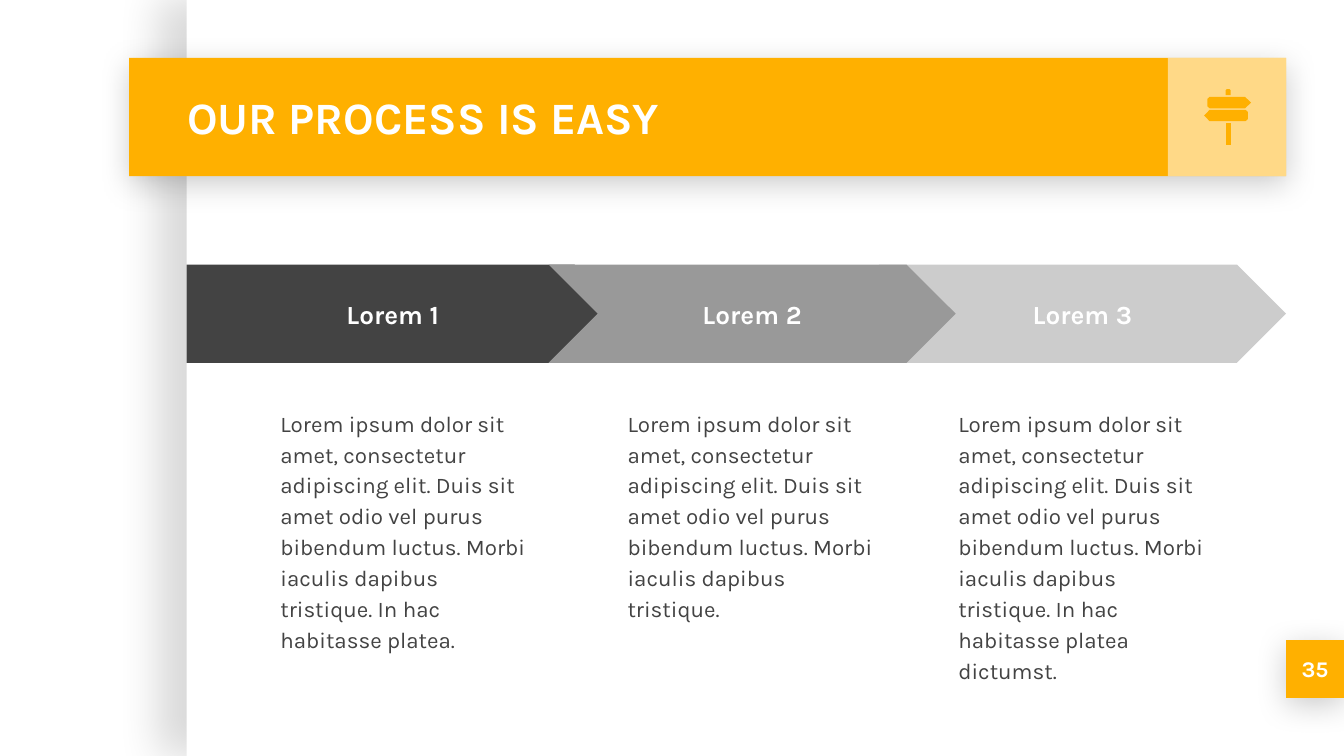
from dataclasses import dataclass

from lxml import etree
from pptx import Presentation
from pptx.dml.color import RGBColor
from pptx.enum import shapes, text
from pptx.oxml import ns
from pptx.util import Pt


@dataclass(frozen=True)
class Theme:
    font: str = "Karla"
    white: str = "FFFFFF"
    gold: str = "FFB000"
    dark: str = "434343"
    mid: str = "999999"
    light: str = "CCCCCC"
    title: int = 24
    label: int = 14
    body: int = 12


THEME = Theme()
KIND = shapes.MSO_SHAPE
PAGE = 100, 0, 620, 405
BANNER = 69.2, 31, 619.8, 63.4
BADGE = 625.6, 31, 63.4, 63.4
NUMBER = 689, 342.9, 31, 31
ROW, HIGH = 141.7, 52.7
LOREM = ("Lorem ipsum dolor sit amet, consectetur adipiscing elit. Duis sit amet "
         "odio vel purus bibendum luctus. Morbi iaculis dapibus tristique.")

# label, kind, left, width, fill, text left, body; listed from back to front
STEPS = [
    ("Lorem 3", KIND.CHEVRON, 470.9, 218.1, THEME.light, 506.3,
     LOREM + " In hac habitasse platea dictumst."),
    ("Lorem 1", KIND.PENTAGON, 100, 234, THEME.dark, 143.1,
     LOREM + " In hac habitasse platea."),
    ("Lorem 2", KIND.CHEVRON, 293.9, 218.1, THEME.mid, 329.1, LOREM),
]

# signpost outlines: right arm, left arm, cap, pole
SIGN = [
    [(648, 51.9), (667, 51.9), (670.2, 55), (667, 58), (648, 58),
     (646.8, 56.9), (646.8, 53)],
    [(648, 58.9), (667.3, 58.9), (668.5, 60), (668.5, 63.8), (667.3, 64.9),
     (648, 64.9), (645.1, 61.9)],
    [(657.2, 47.7), (658.7, 47.7), (659.3, 48.3), (659.3, 50.9),
     (656.6, 50.9), (656.6, 48.3)],
    [(656.6, 66.1), (659.3, 66.1), (659.3, 77.7), (656.6, 77.7)],
]


def paint(shape, color):
    shape.shadow.inherit = False
    shape.fill.solid()
    shape.fill.fore_color.rgb = RGBColor.from_string(color)
    shape.line.fill.background()


def block(slide, kind, area, color):
    shape = slide.shapes.add_shape(kind, *map(Pt, area))
    paint(shape, color)
    return shape


def fade(shape, alpha):
    """Set the opacity of a solid fill, in percent."""
    color = shape._element.spPr.find(".//" + ns.qn("a:srgbClr"))
    etree.SubElement(color, ns.qn("a:alpha"), val=str(alpha * 1000))


def shade(shape, alpha, blur, dist, angle):
    """Give the shape a soft black outer shadow."""
    effects = shape._element.spPr.find(ns.qn("a:effectLst"))
    outer = etree.SubElement(
        effects, ns.qn("a:outerShdw"), blurRad=str(Pt(blur)),
        dist=str(Pt(dist)), dir=str(angle * 60000), algn="bl", rotWithShape="0")
    color = etree.SubElement(outer, ns.qn("a:srgbClr"), val="000000")
    etree.SubElement(color, ns.qn("a:alpha"), val=str(alpha * 1000))


def write(shape, words, size, color, bold=True, align=text.PP_ALIGN.CENTER,
          anchor=text.MSO_ANCHOR.MIDDLE):
    frame = shape.text_frame
    frame.text = words
    frame.word_wrap = True
    frame.auto_size = text.MSO_AUTO_SIZE.NONE
    frame.vertical_anchor = anchor
    frame.margin_left = frame.margin_right = Pt(7.2)
    frame.margin_top = frame.margin_bottom = Pt(7.2)
    para = frame.paragraphs[0]
    para.alignment = align
    font = para.font
    font.name, font.size, font.bold = THEME.font, Pt(size), bold
    font.color.rgb = RGBColor.from_string(color)
    return para


def add_frame(slide):
    """Draw the page panel, the title banner and the number tab."""
    page = block(slide, KIND.RECTANGLE, PAGE, THEME.white)
    shade(page, 15, 22.5, 15, 180)
    tab = block(slide, KIND.RECTANGLE, NUMBER, THEME.gold)
    banner = block(slide, KIND.RECTANGLE, BANNER, THEME.gold)
    for shape in (tab, banner):
        shade(shape, 20, 16.9, 3.8, 90)
    fade(block(slide, KIND.RECTANGLE, BADGE, THEME.white), 53)
    label = slide.shapes.add_textbox(*map(Pt, NUMBER))
    write(label, "35", THEME.body, THEME.white)


def add_title(slide, words):
    title = slide.shapes.title
    title.left, title.top = Pt(93), Pt(31)
    title.width, title.height = Pt(530.6), Pt(63.4)
    write(title, words, THEME.title, THEME.white, align=text.PP_ALIGN.LEFT)
    slide.shapes._spTree.append(title._element)  # bring above the banner


def add_sign(slide):
    group = slide.shapes.add_group_shape()
    for outline in SIGN:
        first, *rest = [(x * 100, y * 100) for x, y in outline]
        pen = group.shapes.build_freeform(*first, scale=Pt(1) / 100)
        pen.add_line_segments(rest)
        paint(pen.convert_to_shape(), THEME.gold)


def add_step(slide, label, kind, left, width, color, edge, words):
    arrow = block(slide, kind, (left, ROW, width, HIGH), color)
    arrow.adjustments[0] = 0.5
    write(arrow, label, THEME.label, THEME.white)
    box = slide.shapes.add_textbox(Pt(edge), Pt(210.2), Pt(147.6), Pt(151.2))
    para = write(box, words, THEME.body, THEME.dark, False,
                 text.PP_ALIGN.LEFT, text.MSO_ANCHOR.TOP)
    para.line_spacing = 1.15


def main():
    deck = Presentation()
    deck.slide_width, deck.slide_height = Pt(720), Pt(405)
    slide = deck.slides.add_slide(deck.slide_layouts[5])
    add_frame(slide)
    add_title(slide, "OUR PROCESS IS EASY")
    add_sign(slide)
    for step in STEPS:
        add_step(slide, *step)
    deck.save("out.pptx")


if __name__ == "__main__":
    main()
